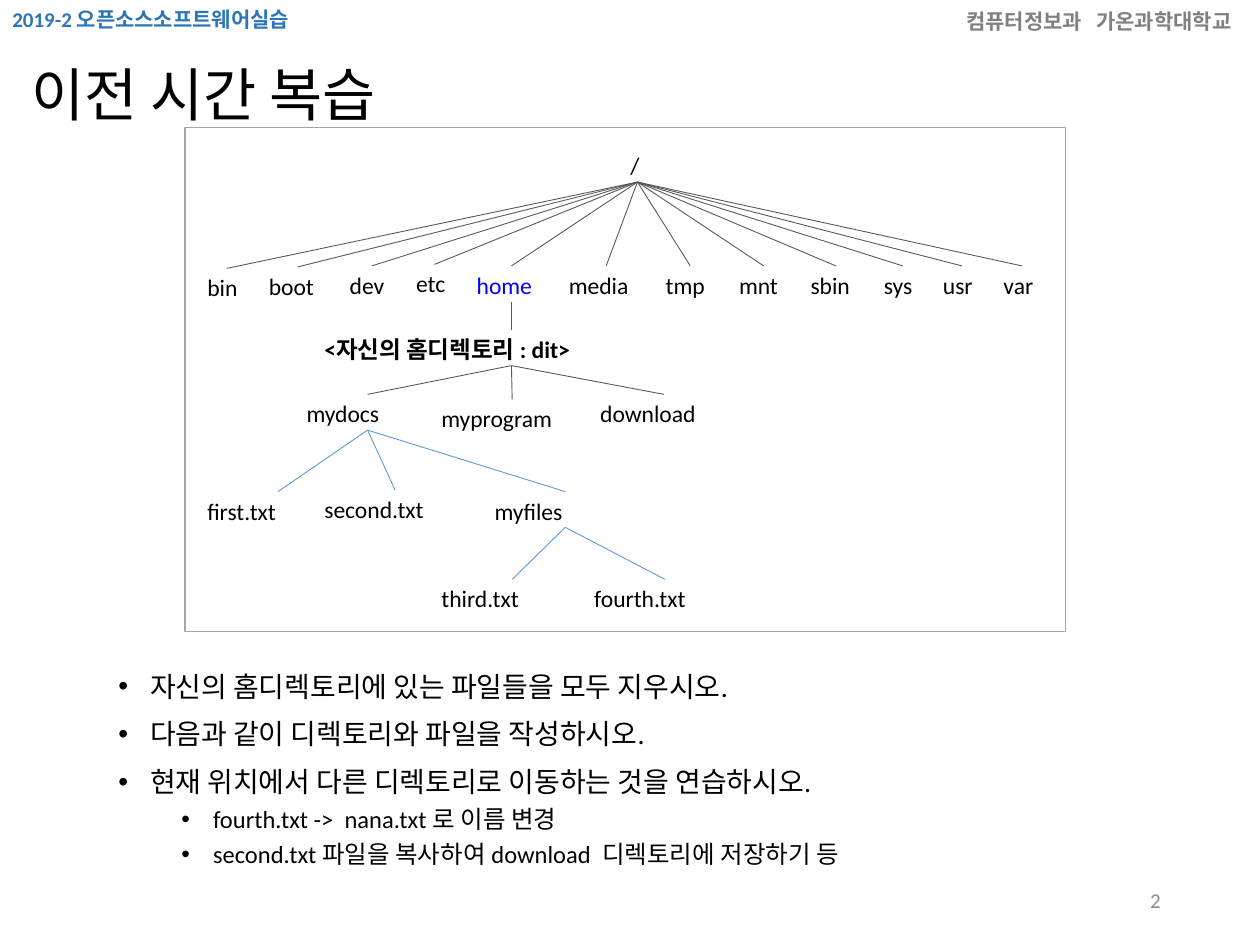
"""Build a review slide with a directory tree and practice tasks."""
import dataclasses

import lxml.etree
import pptx
import pptx.dml.color
import pptx.enum.shapes
import pptx.enum.text
import pptx.oxml.ns
import pptx.util

Cm = pptx.util.Cm
Pt = pptx.util.Pt
qn = pptx.oxml.ns.qn
ALIGN = pptx.enum.text.PP_ALIGN
ANCHOR = pptx.enum.text.MSO_ANCHOR


@dataclasses.dataclass(frozen=True)
class Theme:
    font: str = "Calibri"
    text: str = "000000"
    course: str = "2E75B6"
    school: str = "808080"
    number: str = "8C8C8C"
    home: str = "0000FF"
    edge: str = "595959"
    file_edge: str = "5B9BD5"
    frame: str = "A6A6A6"
    title_size: float = 33
    task_size: float = 16
    step_size: float = 14
    node_size: float = 13.5
    small_size: float = 12
    node_height: float = 0.72


HEADERS = [
    ("2019-2 오픈소스소프트웨어실습", "course", (0, 0, 6.53, 0.76)),
    ("컴퓨터정보과   가온과학대학교", "school", (19.23, 0.05, 6.38, 0.76)),
]

HOME_TITLE = "<자신의 홈디렉토리 : dit>"

NODES = [
    ("/", None, 12.52, 2.95, 0.66),
    ("bin", "/", 3.99, 5.41, 1.17),
    ("boot", "/", 5.23, 5.38, 1.55),
    ("dev", "/", 6.86, 5.36, 1.27),
    ("etc", "/", 8.2, 5.33, 1.12),
    ("home", "/", 9.42, 5.36, 1.78),
    ("media", "/", 11.28, 5.36, 1.88),
    ("tmp", "/", 13.23, 5.36, 1.37),
    ("mnt", "/", 14.71, 5.36, 1.37),
    ("sbin", "/", 16.15, 5.36, 1.4),
    ("sys", "/", 17.63, 5.36, 1.14),
    ("usr", "/", 18.82, 5.36, 1.14),
    ("var", "/", 20.04, 5.36, 1.12),
    (HOME_TITLE, "home", 6.35, 6.65, 7.92),
    ("mydocs", HOME_TITLE, 5.99, 7.95, 2.84),
    ("myprogram", HOME_TITLE, 8.71, 8.05, 3.23),
    ("download", HOME_TITLE, 11.91, 7.95, 2.95),
    ("first.txt", "mydocs", 3.99, 9.91, 3.23),
    ("second.txt", "mydocs", 6.35, 9.88, 3.23),
    ("myfiles", "mydocs", 9.78, 9.91, 3.23),
    ("third.txt", "myfiles", 8.71, 11.68, 3.23),
    ("fourth.txt", "myfiles", 11.79, 11.68, 3.23),
]

TASKS = [
    (0, "자신의 홈디렉토리에 있는 파일들을 모두 지우시오."),
    (0, "다음과 같이 디렉토리와 파일을 작성하시오."),
    (0, "현재 위치에서 다른 디렉토리로 이동하는 것을 연습하시오."),
    (1, "fourth.txt ->  nana.txt 로 이름 변경"),
    (1, "second.txt 파일을 복사하여 download  디렉토리에 저장하기 등"),
]


class SlideBuilder:

    def __init__(self, presentation, theme):
        self.theme = theme
        self.slide = presentation.slides.add_slide(presentation.slide_layouts[1])

    def apply(self, target, formats):
        for name, value in formats.items():
            setattr(target, name, value)

    def place(self, shape, box):
        self.apply(shape, dict(zip(("left", "top", "width", "height"), map(Cm, box))))

    def format_frame(self, shape, **formats):
        defaults = {"word_wrap": True, "auto_size": pptx.enum.text.MSO_AUTO_SIZE.NONE,
                    "vertical_anchor": ANCHOR.TOP}
        self.apply(shape.text_frame, defaults | formats)

    def fill_paragraph(self, paragraph, text, size, color, bold=False, **formats):
        run = paragraph.add_run()
        run.text = text
        self.apply(run.font, {"name": self.theme.font, "size": Pt(size), "bold": bold})
        run.font.color.rgb = pptx.dml.color.RGBColor.from_string(color)
        self.apply(paragraph, {"alignment": ALIGN.LEFT} | formats)

    def text(self, text, box, size, color, bold=False, align=ALIGN.LEFT, **formats):
        shape = self.slide.shapes.add_textbox(*map(Cm, box))
        self.format_frame(shape, **formats)
        self.fill_paragraph(shape.text_frame.paragraphs[0], text, size, color, bold,
                            alignment=align)
        return shape

    def title(self, text, box):
        shape = self.slide.shapes.title
        self.place(shape, box)
        self.format_frame(shape)
        self.fill_paragraph(shape.text_frame.paragraphs[0], text, self.theme.title_size,
                            self.theme.text, line_spacing=0.9)

    def tasks(self, items, box):
        shape = self.slide.placeholders[1]
        self.place(shape, box)
        self.format_frame(shape)
        frame = shape.text_frame
        for index, (level, text) in enumerate(items):
            paragraph = frame.add_paragraph() if index else frame.paragraphs[0]
            size = self.theme.step_size if level else self.theme.task_size
            self.fill_paragraph(paragraph, text, size, self.theme.text, level=level,
                                line_spacing=0.9, space_before=Pt(5 if level else 10))
            properties = paragraph._p.get_or_add_pPr()
            properties.set("marL", str(Cm(0.64 + 1.27 * level)))
            properties.set("indent", str(Cm(-0.64)))
            lxml.etree.SubElement(properties, qn("a:buFont")).set("typeface", "Arial")
            lxml.etree.SubElement(properties, qn("a:buChar")).set("char", "•")

    def node(self, name, left, top, width):
        color = self.theme.home if name == "home" else self.theme.text
        return self.text(name, (left, top, width, self.theme.node_height),
                         self.theme.node_size, color, bold=name == HOME_TITLE,
                         margin_left=Cm(0.19), margin_right=Cm(0.19),
                         margin_top=Cm(0.1), margin_bottom=0)

    def edge(self, child, parent, color):
        connector = self.slide.shapes.add_connector(
            pptx.enum.shapes.MSO_CONNECTOR.STRAIGHT, 0, 0, 0, 0)
        connector.begin_connect(child, 0)
        connector.end_connect(parent, 2)
        self.outline(connector, color, 0.5)
        lxml.etree.SubElement(connector._element.spPr, qn("a:effectLst"))

    def outline(self, shape, color, width):
        shape.line.color.rgb = pptx.dml.color.RGBColor.from_string(color)
        shape.line.width = Pt(width)

    def tree(self, nodes):
        shapes = {}
        for name, parent, *position in nodes:
            shapes[name] = self.node(name, *position)
            if parent:
                in_files = parent in ("mydocs", "myfiles")
                color = self.theme.file_edge if in_files else self.theme.edge
                self.edge(shapes[name], shapes[parent], color)

    def border(self, box):
        shape = self.slide.shapes.add_shape(
            pptx.enum.shapes.MSO_SHAPE.RECTANGLE, *map(Cm, box))
        shape.fill.background()
        shape.shadow.inherit = False
        self.outline(shape, self.theme.frame, 1)


def main():
    theme = Theme()
    presentation = pptx.Presentation()
    presentation.slide_width, presentation.slide_height = Cm(25.4), Cm(19.05)
    builder = SlideBuilder(presentation, theme)
    for text, role, box in HEADERS:
        builder.text(text, box, theme.small_size, getattr(theme, role), bold=True)
    builder.text("2", (17.93, 17.65, 5.72, 1.01), theme.small_size, theme.number,
                 align=ALIGN.RIGHT, vertical_anchor=ANCHOR.MIDDLE)
    builder.tree(NODES)
    builder.title("이전 시간 복습", (0.38, 1.22, 24.64, 1.55))
    builder.tasks(TASKS, (2.13, 13.44, 23.27, 5.18))
    builder.border((3.73, 2.57, 17.75, 10.16))
    presentation.save("out.pptx")


if __name__ == "__main__":
    main()
